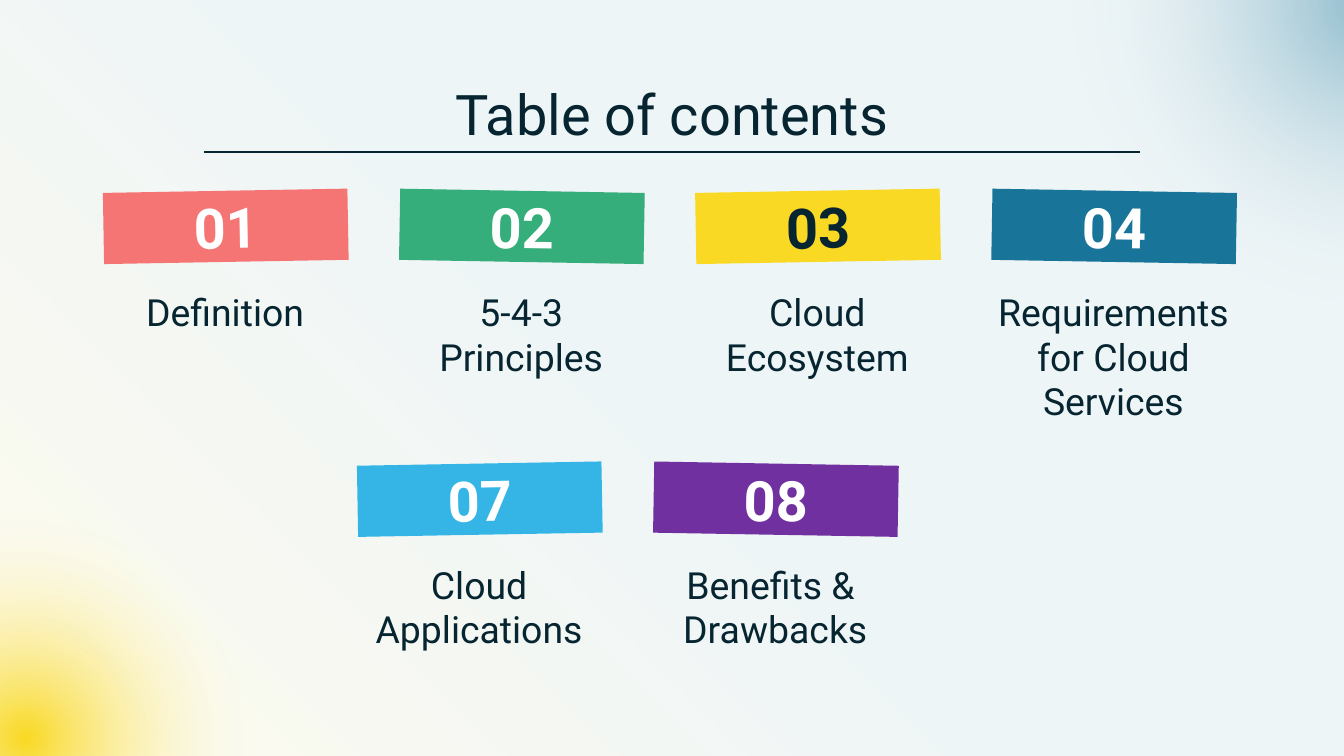
"""Build the table of contents slide."""
from lxml import etree
from pptx import Presentation
from pptx.dml.color import RGBColor
from pptx.enum import shapes, text
from pptx.oxml import parse_xml
from pptx.oxml.ns import nsdecls, qn
from pptx.util import Inches, Pt

DARK, WHITE = "062531", "FFFFFF"


def write(sp, content, size, color, bold=False):
    tf = sp.text_frame
    tf.word_wrap = True
    tf.margin_left = tf.margin_right = tf.margin_top = tf.margin_bottom = 0
    tf.vertical_anchor = text.MSO_ANCHOR.MIDDLE if bold else text.MSO_ANCHOR.TOP
    tf.text = content
    p = tf.paragraphs[0]
    p.alignment = text.PP_ALIGN.CENTER
    for r in p.runs:
        r.font.name, r.font.size, r.font.bold = "Roboto", Pt(size), bold
        r.font.color.rgb = RGBColor.from_string(color)


def add_shape(kind, left, top, width, height, color):
    sp = s.shapes.add_shape(kind, Inches(left), Inches(top), Inches(width), Inches(height))
    sp.shadow.inherit = False
    sp.line.fill.background()
    sp.fill.solid()
    sp.fill.fore_color.rgb = RGBColor.from_string(color)
    return sp


prs = Presentation()
prs.slide_width = Inches(10)
prs.slide_height = Inches(10 * 9 / 16)
s = prs.slides.add_slide(prs.slide_layouts[6])
rect, oval = shapes.MSO_SHAPE.RECTANGLE, shapes.MSO_SHAPE.OVAL

linear = '<a:lin ang="8100000" scaled="0"/>'
radial = '<a:path path="circle"><a:fillToRect l="50000" t="50000" r="50000" b="50000"/></a:path>'
clear = [(50, WHITE, 0), (100, WHITE, 0)]
backdrops = [
    (rect, -0.04, -0.04, 10.08, 5.71, linear,
     [(0, "187498", 7), (50, "187498", 7), (100, "F9D923", 7)]),
    (oval, -2.39, 2.91, 5.15, 5.15, radial, [(0, "F9D923", 100)] + clear),
    (oval, 6.76, -3.48, 6.96, 6.96, radial, [(0, "187498", 47)] + clear),
]
for kind, left, top, width, height, direction, stops in backdrops:
    sp = add_shape(kind, left, top, width, height, WHITE)
    gs = "".join(
        f'<a:gs pos="{pos * 1000}"><a:srgbClr val="{color}">'
        f'<a:alpha val="{alpha * 1000}"/></a:srgbClr></a:gs>'
        for pos, color, alpha in stops)
    grad = parse_xml(f'<a:gradFill {nsdecls("a")} rotWithShape="1">'
                     f'<a:gsLst>{gs}</a:gsLst>{direction}</a:gradFill>')
    solid = sp._element.spPr.find(qn("a:solidFill"))
    solid.getparent().replace(solid, grad)

title = s.shapes.add_textbox(Inches(0.8), Inches(0.59), Inches(8.4), Inches(0.51))
write(title, "Table of contents", 30, DARK)

rule = s.shapes.add_connector(shapes.MSO_CONNECTOR.STRAIGHT,
                              Inches(1.52), Inches(1.13), Inches(8.48), Inches(1.13))
rule.line.color.rgb = RGBColor.from_string(DARK)
rule.line.width = Pt(0.75)
etree.SubElement(rule._element.spPr, qn("a:effectLst"))

rows = [
    (0.77, 1.42, [
        ("01", "Definition", "F57474", WHITE),
        ("02", "5-4-3 Principles", "36AE7C", WHITE),
        ("03", "Cloud Ecosystem", "F9D923", DARK),
        ("04", "Requirements for Cloud Services", "187498", WHITE),
    ]),
    (2.66, 3.45, [
        ("07", "Cloud Applications", "34B5E6", WHITE),
        ("08", "Benefits & \vDrawbacks", "7030A0", WHITE),
    ]),
]
pitch = 6.61 / 3
for row_left, top, items in rows:
    for i, (number, topic, fill, color) in enumerate(items):
        left = row_left + i * pitch
        sp = add_shape(rect, left, top, 1.82, 0.53, fill)
        sp.rotation = 1 if i % 2 else 359
        write(sp, number, 30, color, bold=True)
        sp = s.shapes.add_textbox(Inches(left + 0.01), Inches(top + 0.73),
                                  Inches(1.79), Inches(0.67))
        write(sp, topic, 20, DARK)

prs.save("out.pptx")
